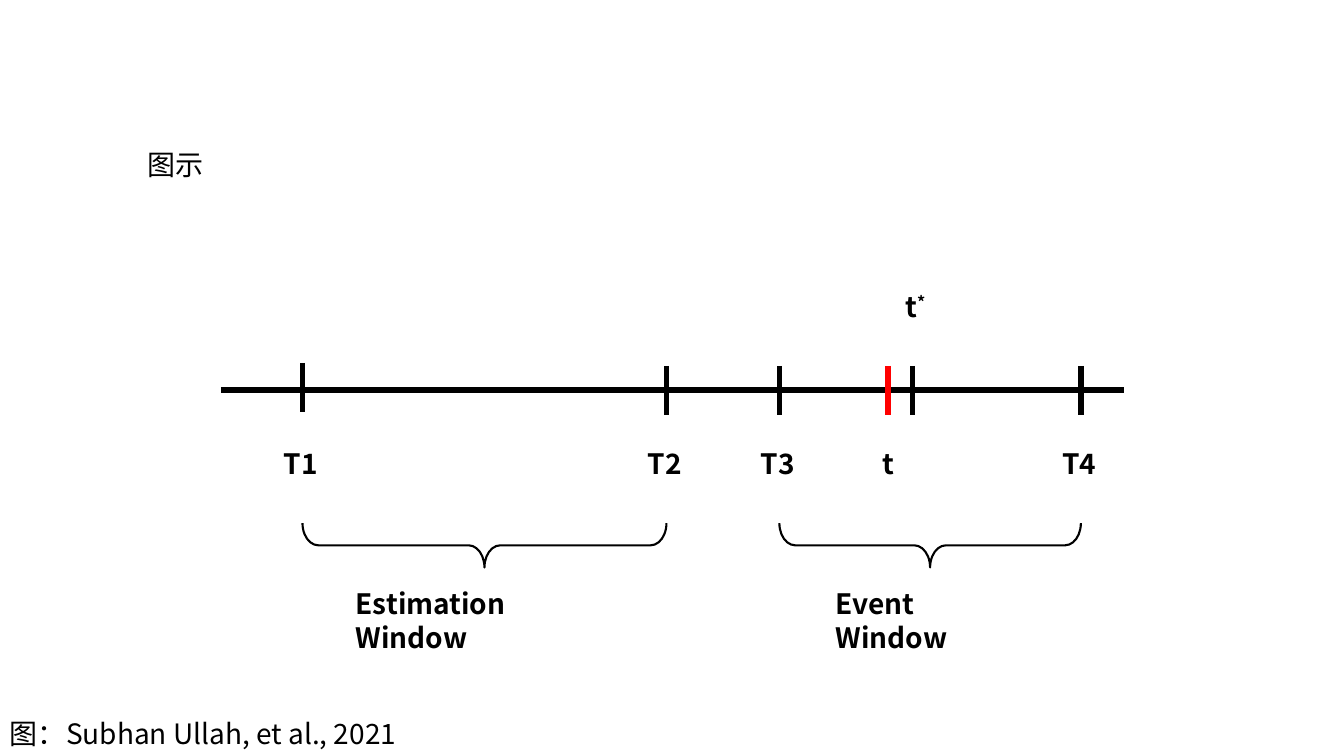
from lxml import etree
from pptx import Presentation, util as u
from pptx.dml.color import RGBColor
from pptx.enum import shapes, text
from pptx.oxml.ns import qn

BLACK = RGBColor(0, 0, 0)
RED = RGBColor(255, 0, 0)
FONT = "Noto Sans CJK SC"

deck = Presentation()
deck.slide_width, deck.slide_height = u.Inches(13.33), u.Inches(7.5)
slide = deck.slides.add_slide(deck.slide_layouts[6])

# The slide is a grid of 13.33 columns by 7.5 rows
COL = deck.slide_width / 13.33
ROW = deck.slide_height / 7.5
LABEL_ROWS = 0.44


def write(words, left, top, width, bold=True, superscript=""):
    box = slide.shapes.add_textbox(int(left * COL), int(top * ROW),
                                   int(width * COL), int(LABEL_ROWS * ROW))
    frame = box.text_frame
    frame.word_wrap = True
    frame.auto_size = text.MSO_AUTO_SIZE.SHAPE_TO_FIT_TEXT
    for part in filter(None, (words, superscript)):
        run = frame.paragraphs[0].add_run()
        run.text = part
        run.font.size, run.font.bold = u.Pt(20), bold
        run.font.name, run.font.color.rgb = FONT, BLACK
        properties = run.font._element
        etree.SubElement(properties, qn("a:ea")).set("typeface", FONT)
        if part == superscript:
            properties.set("baseline", "30000")


def draw_line(x1, y1, x2, y2, color=BLACK):
    line = slide.shapes.add_connector(
        shapes.MSO_CONNECTOR.STRAIGHT,
        int(x1 * COL), int(y1 * ROW), int(x2 * COL), int(y2 * ROW))
    line.line.color.rgb, line.line.width = color, u.Pt(4)
    etree.SubElement(line._element.spPr, qn("a:effectLst"))


# Heading
write("图示", 1.36, 1.41, 1.32, bold=False)

# Time axis
AXIS = 3.87
draw_line(2.19, AXIS, 11.15, AXIS)

# Ticks: column, row of the top, colour
T1, T2, T3, T4 = 3, 6.61, 7.73, 10.72
EVENT, EVENT_STAR = 8.81, 9.05
for x, top, color in [(T1, 3.6, BLACK), (T2, 3.63, BLACK), (T3, 3.63, BLACK),
                      (T4, 3.63, BLACK), (EVENT, 3.63, RED),
                      (EVENT_STAR, 3.63, BLACK)]:
    draw_line(x, top, x, top + 0.49, color)

# Tick labels, centred on their ticks
for name, x, width in [("T1", T1, 0.57), ("T2", T2, 0.57), ("T3", T3, 0.57),
                       ("T4", T4, 0.57), ("t", EVENT, 0.32)]:
    write(name, x - width / 2, 4.38, width)
write("t", 8.88, 2.82, 0.48, superscript="*")

# Windows: a brace between two ticks and its caption
BRACE_MIDDLE, BRACE_DEPTH = 5.41, 0.44
for caption, start, end, left, width in [
        ("Estimation Window", T1, T2, 3.43, 2.75),
        ("Event Window", T3, T4, 8.19, 2.07)]:
    span = end - start
    brace = slide.shapes.add_shape(
        shapes.MSO_SHAPE.LEFT_BRACE,
        int(((start + end - BRACE_DEPTH) / 2) * COL),
        int((BRACE_MIDDLE - span / 2) * ROW),
        int(BRACE_DEPTH * COL), int(span * ROW))
    brace.rotation = 270
    brace.adjustments[0], brace.adjustments[1] = 0.356, 0.5
    brace.shadow.inherit = False
    brace.fill.background()
    brace.line.color.rgb, brace.line.width = BLACK, u.Pt(1.5)
    write(caption, left, 5.77, width)

# Source
write("图:Subhan Ullah, et al., 2021".replace(":", "\uff1a"),
      0, 7.06, 11.84, bold=False)

deck.save("out.pptx")
